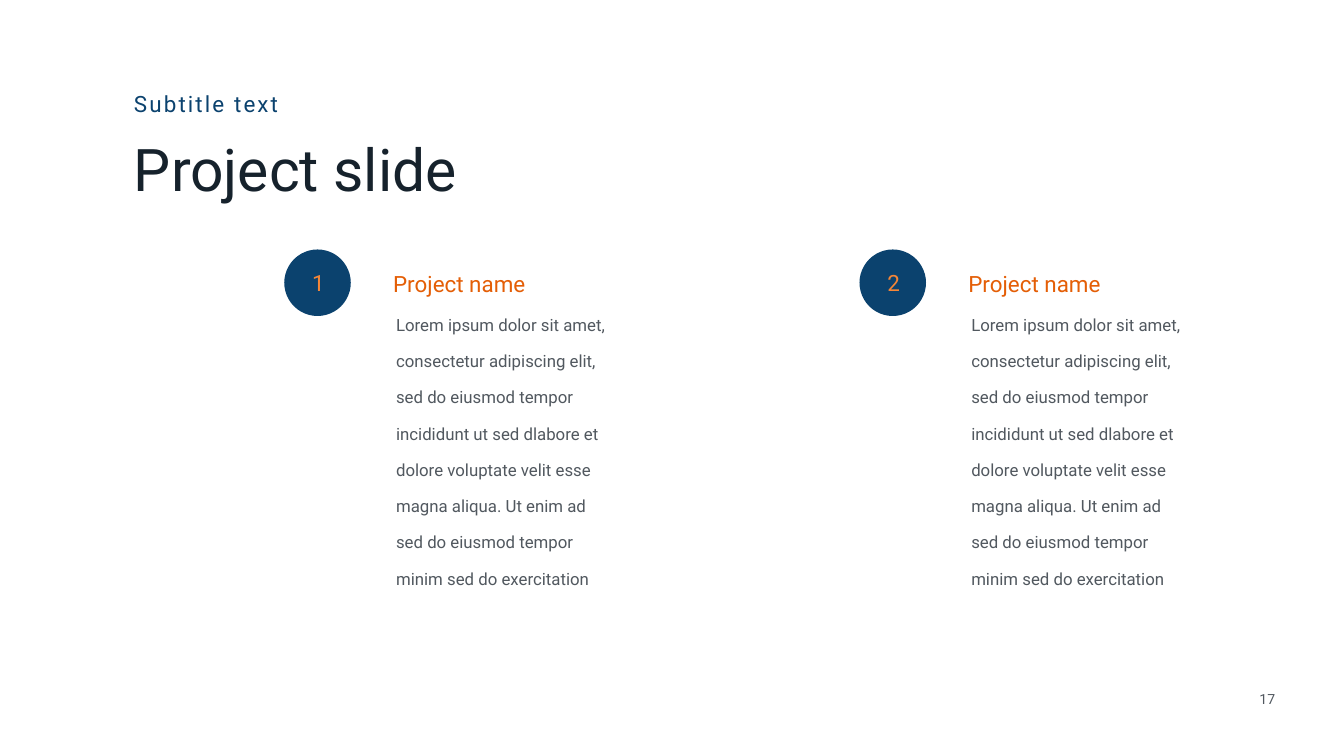
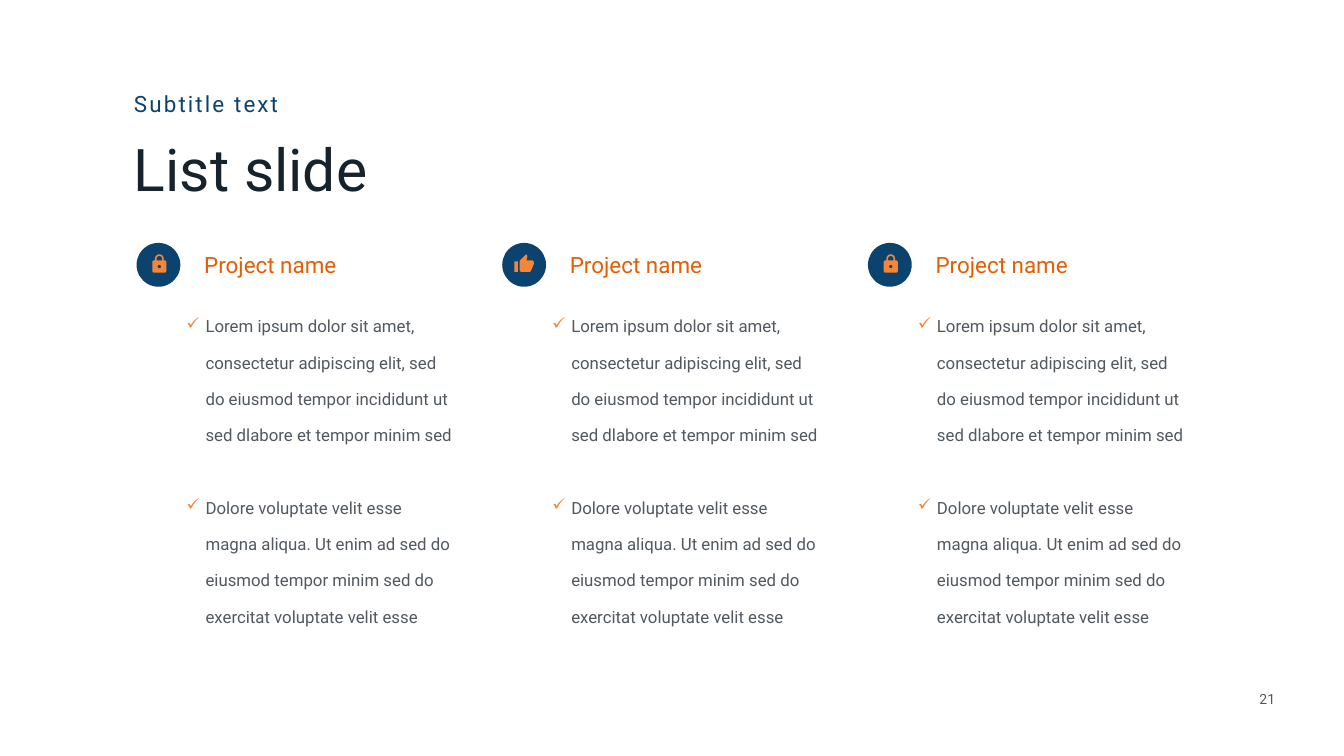
from dataclasses import dataclass
from math import cos, radians, sin

from lxml.etree import SubElement
from pptx import Presentation
from pptx.dml.color import RGBColor
from pptx.enum.shapes import MSO_SHAPE
from pptx.enum.text import MSO_ANCHOR, MSO_AUTO_SIZE, PP_ALIGN
from pptx.oxml.ns import qn
from pptx.slide import Slide
from pptx.text.text import TextFrame
from pptx.util import Emu, Inches, Pt

Point = tuple[float, float]
WIDE, HIGH = Inches(26.67), Inches(15)


@dataclass(frozen=True)
class Style:
    size: int
    color: str
    align: PP_ALIGN = PP_ALIGN.LEFT
    anchor: MSO_ANCHOR = MSO_ANCHOR.TOP
    inset: Point = (0.04, 0.04)
    lines: float = 1.0
    gap: int = 0
    track: int = 0
    bullet: str = ""


@dataclass(frozen=True)
class Theme:
    font: str = "Roboto"
    navy: str = "0B426E"
    ink: str = "16222C"
    gray: str = "51585F"
    rust: str = "E45E06"
    amber: str = "F58637"
    title: Style = Style(84, ink)
    sub: Style = Style(32, navy, anchor=MSO_ANCHOR.MIDDLE, track=300)
    head: Style = Style(32, rust)
    digit: Style = Style(32, amber, PP_ALIGN.CENTER)
    body: Style = Style(24, gray, inset=(0.1, 0.05), lines=1.8)
    list: Style = Style(24, gray, inset=(0.1, 0.05), lines=1.8, gap=52, bullet="✓")
    page: Style = Style(20, gray, PP_ALIGN.CENTER)


THEME = Theme()


@dataclass(frozen=True)
class Box:
    """Left, top, width and height in percent of the slide."""
    x: float
    y: float
    w: float
    h: float

    def shift(self, step: float) -> "Box":
        return Box(self.x + step, self.y, self.w, self.h)

    def place(self) -> tuple[Emu, Emu, Emu, Emu]:
        return (Emu(round(self.x * WIDE / 100)), Emu(round(self.y * HIGH / 100)),
                Emu(round(self.w * WIDE / 100)), Emu(round(self.h * HIGH / 100)))


@dataclass(frozen=True)
class Icon:
    """Outlines on a 24-cell grid, and the grid's left edge as a share of the disc."""
    left: float
    rings: list[list[Point]]


# Icon outlines
def arc(x: float, y: float, r: float, start: int, end: int) -> list[Point]:
    steps = 12
    turns = [radians(start + (end - start) * i / steps) for i in range(steps + 1)]
    return [(x + r * cos(t), y + r * sin(t)) for t in turns]


LOCK = Icon(0.28, [
    [(7, 8), *arc(12, 6, 5, 180, 360), (17, 8), *arc(18, 10, 2, 270, 360),
     *arc(18, 20, 2, 0, 90), *arc(6, 20, 2, 90, 180), *arc(6, 10, 2, 180, 270)],
    arc(12, 15, 2, 0, 360),
    [(8.9, 8), *arc(12, 6, 3.1, 180, 360), (15.1, 8)],
])
THUMB = Icon(0.26, [
    [(1, 21), (5, 21), (5, 9), (1, 9)],
    [*arc(21, 10, 2, 360, 270), (14.69, 8), (15.64, 3.43), (15.67, 3.11),
     (15.55, 2.5), (15.23, 2.05), (14.17, 1), (7.59, 7.59), (7.15, 8.2), (7, 9),
     *arc(9, 19, 2, 180, 90), *arc(18, 19, 2, 90, 23), (22.86, 12.73), (23, 12)],
])


# Text
def write(frame: TextFrame, lines: list[str], style: Style) -> None:
    frame.word_wrap = True
    frame.auto_size = MSO_AUTO_SIZE.NONE
    frame.vertical_anchor = style.anchor
    frame.margin_left = frame.margin_right = Inches(style.inset[0])
    frame.margin_top = frame.margin_bottom = Inches(style.inset[1])
    for i, line in enumerate(lines):
        para = frame.add_paragraph() if i else frame.paragraphs[0]
        para.text = line
        if style.bullet:
            props = para._p.get_or_add_pPr()
            props.set("marL", str(Inches(0.38)))
            props.set("indent", str(-Inches(0.38)))
            tint = SubElement(props, qn("a:buClr"))
            SubElement(tint, qn("a:srgbClr"), val=THEME.amber)
            SubElement(props, qn("a:buChar"), char=style.bullet)
        para.alignment = style.align
        para.line_spacing = style.lines
        para.space_before = Pt(style.gap if i else 0)
        font = para.font
        font.name, font.size = THEME.font, Pt(style.size)
        font.color.rgb = RGBColor.from_string(style.color)
        if style.track:
            font._rPr.set("spc", str(style.track))


def label(slide: Slide, box: Box, lines: list[str], style: Style) -> None:
    write(slide.shapes.add_textbox(*box.place()).text_frame, lines, style)


# Shapes
def paint(shape, color: str) -> None:
    shape.shadow.inherit = False
    shape.fill.solid()
    shape.fill.fore_color.rgb = RGBColor.from_string(color)
    shape.line.fill.background()


def disc(slide: Slide, box: Box) -> None:
    paint(slide.shapes.add_shape(MSO_SHAPE.OVAL, *box.place()), THEME.navy)


def badge(slide: Slide, box: Box, icon: Icon) -> None:
    disc(slide, box)
    x, y, size, _ = box.place()
    fine = 100
    rings = [[(px * fine, py * fine) for px, py in ring] for ring in icon.rings]
    pen = slide.shapes.build_freeform(*rings[0][0], scale=size * 0.02 / fine)
    for i, ring in enumerate(rings):
        if i:
            pen.move_to(*ring[0])
        pen.add_line_segments(ring[1:], close=True)
    mark = pen.convert_to_shape(round(x + size * icon.left), round(y + size * 0.24))
    paint(mark, THEME.amber)


# Parts that both slides share
def start(deck, title: str, page: int) -> Slide:
    slide = deck.slides.add_slide(deck.slide_layouts[5])
    head = slide.shapes.title
    head.left, head.top, head.width, head.height = Box(9.82, 17.27, 32.17, 11.53).place()
    write(head.text_frame, [title], THEME.title)
    label(slide, Box(9.82, 11.67, 22.95, 4.13), ["Subtitle text"], THEME.sub)
    label(slide, Box(92.46, 91.07, 3.67, 2.8), [str(page)], THEME.page)
    return slide


NAME = "Project name"
STORY = [
    "Lorem ipsum dolor sit amet, consectetur adipiscing elit, sed do eiusmod tempor "
    "incididunt ut sed dlabore et dolore voluptate velit esse magna aliqua. Ut enim ad",
    "sed do eiusmod tempor minim sed do exercitation",
]
POINTS = [
    "Lorem ipsum dolor sit amet, consectetur adipiscing elit, sed do eiusmod tempor "
    "incididunt ut sed dlabore et tempor minim sed",
    "Dolore voluptate velit esse magna aliqua. Ut enim ad sed do eiusmod tempor "
    "minim sed do exercitat voluptate velit esse",
]


# Two numbered projects
def project(deck) -> None:
    slide = start(deck, "Project slide", 17)
    for i in range(2):
        step = i * 42.8
        label(slide, Box(29.1, 39.13, 16.61, 39.47).shift(step), STORY, THEME.body)
        label(slide, Box(29.1, 35.4, 14.29, 5.8).shift(step), [NAME], THEME.head)
        disc(slide, Box(21.15, 33, 4.95, 8.8).shift(step))
        label(slide, Box(21.38, 35.27, 4.61, 3.93).shift(step), [str(i + 1)], THEME.digit)


# Three checked lists
def checks(deck) -> None:
    slide = start(deck, "List slide", 21)
    for i, icon in enumerate((LOCK, THUMB, LOCK)):
        step = i * 27.21
        label(slide, Box(13.5, 39.33, 20.81, 44.27).shift(step), POINTS, THEME.list)
        label(slide, Box(15.04, 32.93, 14.29, 5.8).shift(step), [NAME], THEME.head)
        badge(slide, Box(10.16, 32.13, 3.26, 5.8).shift(step), icon)


def main() -> None:
    deck = Presentation()
    deck.slide_width, deck.slide_height = WIDE, HIGH
    project(deck)
    checks(deck)
    deck.save("out.pptx")


if __name__ == "__main__":
    main()
